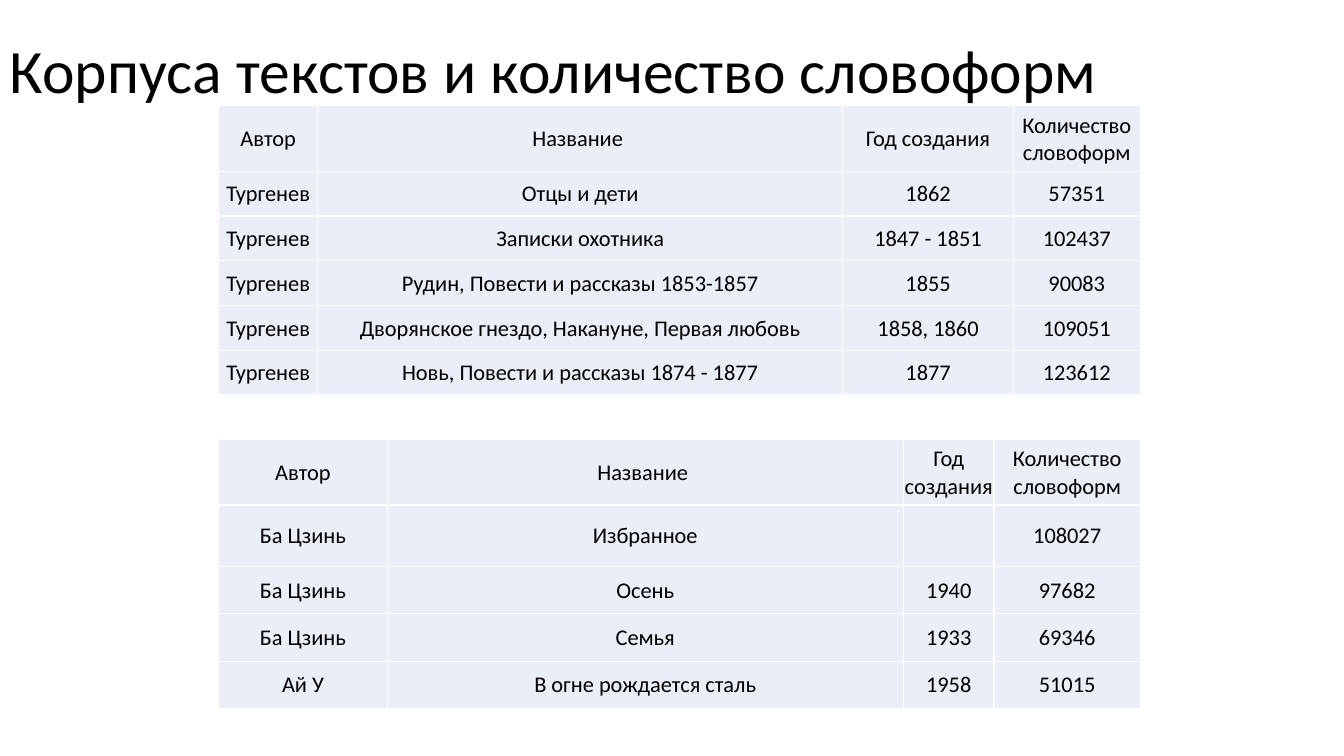
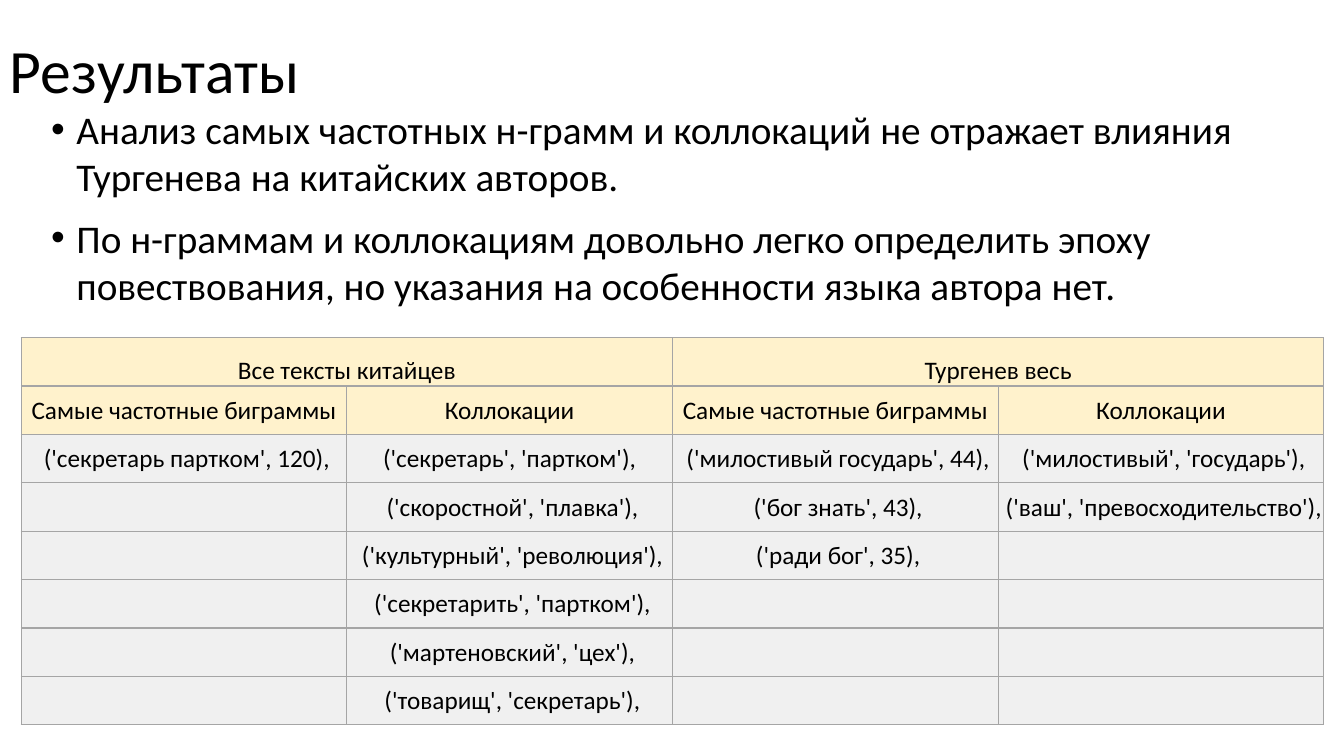
import dataclasses

import lxml.etree
import pptx
import pptx.dml.color
import pptx.enum.text
import pptx.oxml.ns
import pptx.util

Inches = pptx.util.Inches
Pt = pptx.util.Pt
Anchor = pptx.enum.text.MSO_ANCHOR
Align = pptx.enum.text.PP_ALIGN
qn = pptx.oxml.ns.qn


@dataclasses.dataclass(frozen=True)
class Theme:
    """Colours, font and type sizes shared by the slides."""
    font: str = "Calibri"
    ink: str = "000000"
    corpus_fill: str = "EAEFF7"
    corpus_line: str = "FFFFFF"
    header_fill: str = "FFF2CC"
    result_fill: str = "F0F0F0"
    result_line: str = "A5A5A5"
    title_size: int = 44
    body_size: int = 28
    result_size: int = 18
    corpus_size: int = 16


theme = Theme()


def write(frame, texts, size, align=Align.LEFT):
    """Fill a text frame with one paragraph per text and return them."""
    frame.word_wrap = True
    for index, text in enumerate(texts):
        para = frame.paragraphs[0] if index == 0 else frame.add_paragraph()
        para.text = text
        para.alignment = align
        para.font.name = theme.font
        para.font.size = Pt(size)
        para.font.color.rgb = pptx.dml.color.RGBColor.from_string(theme.ink)
    return frame.paragraphs


def add_grid(page, left, top, widths, heights, rows, size, fills, line):
    """Add a bordered table of centred text; fills holds one colour per row."""
    table = page.shapes.add_table(
        len(heights), len(widths), Inches(left), Inches(top),
        Inches(sum(widths)), Inches(sum(heights))).table
    table.first_row = table.horz_banding = False
    for column, width in zip(table.columns, widths):
        column.width = Inches(width)
    for row_index, height in enumerate(heights):
        table.rows[row_index].height = Inches(height)
        for column_index, text in enumerate(rows[row_index]):
            cell = table.cell(row_index, column_index)
            cell.vertical_anchor = Anchor.MIDDLE
            cell.margin_left = cell.margin_right = cell.margin_top = Inches(0.01)
            cell.margin_bottom = 0
            write(cell.text_frame, [text], size, Align.CENTER)
            properties = cell._tc.get_or_add_tcPr()
            for side in ("a:lnL", "a:lnR", "a:lnT", "a:lnB"):
                edge = lxml.etree.SubElement(properties, qn(side), w=str(Pt(1)))
                paint = lxml.etree.SubElement(edge, qn("a:solidFill"))
                lxml.etree.SubElement(paint, qn("a:srgbClr"), val=line)
            cell.fill.solid()
            cell.fill.fore_color.rgb = pptx.dml.color.RGBColor.from_string(
                fills[row_index])
    return table


deck = pptx.Presentation()
deck.slide_width = Inches(13.33)
deck.slide_height = Inches(7.5)

# Titled pages
pages = []
for title, width in (("Корпуса текстов и количество словоформ", 11.94),
                     ("Результаты", 11.5)):
    page = deck.slides.add_slide(deck.slide_layouts[6])
    box = page.shapes.add_textbox(0, 0, Inches(width), Inches(1.45))
    box.text_frame.vertical_anchor = Anchor.MIDDLE
    write(box.text_frame, [title], theme.title_size)[0].line_spacing = 0.9
    pages.append(page)
corpus_page, results_page = pages

# Corpora
corpus_header = ("Автор", "Название ", "Год создания", "Количество словоформ")
turgenev_works = [
    ("Отцы и дети", "1862", "57351"),
    ("Записки охотника", "1847 - 1851", "102437"),
    ("Рудин, Повести и рассказы 1853-1857", "1855", "90083"),
    ("Дворянское гнездо, Накануне, Первая любовь", "1858, 1860", "109051"),
    ("Новь, Повести и рассказы 1874 - 1877", "1877", "123612"),
]
turgenev_rows = [("Тургенев", *work) for work in turgenev_works]
chinese_rows = [
    ("Ба Цзинь", "Избранное", "", "108027"),
    ("Ба Цзинь", "Осень", "1940", "97682"),
    ("Ба Цзинь", "Семья", "1933", "69346"),
    ("Ай У", "В огне рождается сталь", "1958", "51015"),
]
for top, widths, heights, rows in (
        (1.05, (0.98, 5.21, 1.69, 1.26), [0.65] + [0.444] * 5, turgenev_rows),
        (4.36, (1.67, 5.12, 0.9, 1.45), [0.65, 0.61] + [0.47] * 3, chinese_rows)):
    add_grid(corpus_page, 2.17, top, widths, heights, [corpus_header] + rows,
             theme.corpus_size, [theme.corpus_fill] * len(heights),
             theme.corpus_line)

# Findings
box = results_page.shapes.add_textbox(
    Inches(0.41), Inches(1), Inches(12.92), Inches(2.84))
findings = [
    "Анализ самых частотных н-грамм и коллокаций не отражает влияния "
    "Тургенева на китайских авторов. ",
    "По н-граммам и коллокациям довольно легко определить эпоху "
    "повествования, но указания на особенности языка автора нет. ",
]
for para in write(box.text_frame, findings, theme.body_size):
    para.space_before = Pt(10)
    properties = para._p.get_or_add_pPr()
    properties.set("marL", str(Inches(0.25)))
    properties.set("indent", str(-Inches(0.25)))
    bullet_font = lxml.etree.Element(qn("a:buFont"), typeface="Arial")
    bullet = lxml.etree.Element(qn("a:buChar"), char="•")
    defaults = properties.find(qn("a:defRPr"))
    defaults.addprevious(bullet_font)
    defaults.addprevious(bullet)

# Bigrams and collocations
result_rows = [
    ("Все тексты китайцев", "", "Тургенев весь", ""),
    ("Самые частотные биграммы", "Коллокации") * 2,
    (" ('секретарь партком', 120),", "('секретарь', 'партком'),",
     " ('милостивый государь', 44),", " ('милостивый', 'государь'),"),
    ("", " ('скоростной', 'плавка'),", " ('бог знать', 43),",
     " ('ваш', 'превосходительство'),"),
    ("", " ('культурный', 'революция'),", " ('ради бог', 35),", ""),
    ("", " ('секретарить', 'партком'),", "", ""),
    ("", " ('мартеновский', 'цех'),", "", ""),
    ("", " ('товарищ', 'секретарь'),", "", ""),
]
results = add_grid(
    results_page, 0.21, 3.35, [3.23] * 4, [0.48] * 8, result_rows,
    theme.result_size, [theme.header_fill] * 2 + [theme.result_fill] * 6,
    theme.result_line)
for column in (0, 2):
    group = results.cell(0, column)
    group.merge(results.cell(0, column + 1))
    group.vertical_anchor = Anchor.BOTTOM

deck.save("out.pptx")
